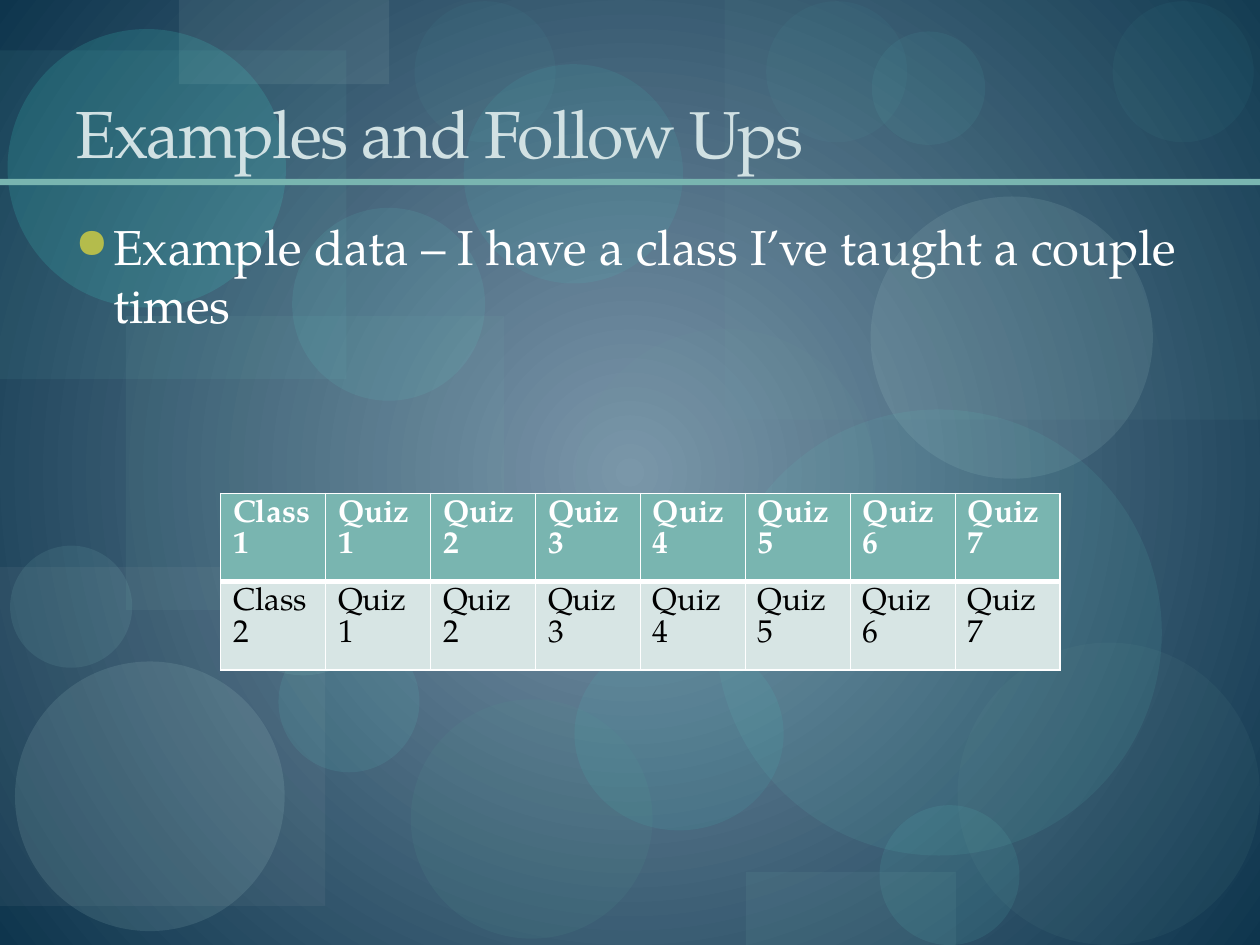
from lxml import etree
from pptx import Presentation
from pptx.dml.color import RGBColor
from pptx.enum.shapes import MSO_SHAPE
from pptx.enum.text import MSO_ANCHOR
from pptx.oxml.ns import qn
from pptx.util import Pt

RECT, OVAL = MSO_SHAPE.RECTANGLE, MSO_SHAPE.OVAL
BOTTOM, TOP = MSO_ANCHOR.BOTTOM, MSO_ANCHOR.TOP
FONT = "TeX Gyre Pagella"
COLORS = {
    "center": "7B96AA", "edge": "0E354D", "teal": "79B5B0", "title": "D1E1E3",
    "white": "FFFFFF", "black": "000000", "bullet": "B4BC4C", "row": "D7E5E4",
    "deep": "549791", "gray": "B2B7BA", "sage": "70A39E", "aqua": "65E8DC",
    "pale": "C1E8E4", "bright": "44EADC", "mint": "77D6CE", "mist": "BED7D4",
    "foam": "97DCD6", "sea": "61CDC4",
}
DECOR = [
    (RECT, 72, 180.7, 216, 167.8, "teal", 9),
    (OVAL, 234.7, 399.6, 138.2, 136.8, "deep", 13),
    (RECT, 414, 0, 306, 239.8, "teal", 6),
    (RECT, 0, 324, 185.8, 193.7, "gray", 8),
    (OVAL, 329, 187.9, 171.4, 171.4, "sage", 8),
    (OVAL, 502.6, 460.1, 79.9, 79.9, "aqua", 9),
    (OVAL, 497.5, 112.3, 161.3, 161.3, "pale", 11),
    (OVAL, 8.6, 378, 154.1, 154.1, "pale", 12),
    (OVAL, 159.1, 360.7, 80.6, 80.6, "aqua", 9),
    (OVAL, 328.3, 364.3, 119.5, 110.2, "bright", 8),
    (RECT, 0, 28.8, 198, 187.9, "mint", 7),
    (RECT, 102.2, 0, 120.2, 48.2, "mist", 10),
    (OVAL, 4.3, 16.6, 159.1, 159.1, "bright", 15),
    (OVAL, 5.8, 311.8, 69.8, 69.8, "foam", 10),
    (OVAL, 167, 118.8, 110.2, 110.2, "aqua", 9),
    (OVAL, 265, 36.7, 125.3, 125.3, "bright", 8),
    (OVAL, 409, 234, 254.9, 254.9, "sea", 10),
    (OVAL, 437.8, 0.7, 80.6, 80.6, "aqua", 4),
    (OVAL, 547.2, 367.2, 172.8, 172.8, "sage", 8),
    (OVAL, 126, 291.6, 94.3, 94.3, "foam", 10),
    (OVAL, 498.2, 18, 64.8, 64.8, "aqua", 6),
    (OVAL, 635.8, 0.7, 80.6, 80.6, "aqua", 4),
    (RECT, 426.2, 498.2, 120.2, 41.8, "teal", 10),
    (OVAL, 236.9, 0.7, 80.6, 80.6, "aqua", 4),
    (RECT, 0, 102.2, 720, 3.6, "teal", 100),
]
QUIZZES = ["Quiz 2", "Quiz 3", "Quiz 4", "Quiz 5", "Quiz6", "Quiz 7"]
ROWS = [["Class 1", "Quiz1"] + QUIZZES, ["Class 2", "Quiz 1"] + QUIZZES]


def rgb(name):
    return RGBColor.from_string(COLORS[name])


def sub(parent, tag, **attrs):
    return etree.SubElement(parent, qn(tag), attrs)


def set_background(s):
    fill = s.background.fill
    fill.gradient()
    for stop, name, position in zip(fill.gradient_stops, ("center", "edge"), (0, 1)):
        stop.color.rgb = rgb(name)
        stop.position = position
    grad = next(s.element.iter(qn("a:gradFill")))
    grad.remove(grad.find(qn("a:lin")))
    circle = sub(grad, "a:path")
    circle.set("path", "circle")
    sub(circle, "a:fillToRect", l="50000", t="50000", r="50000", b="50000")


def add_decor(s, kind, x, y, w, h, color, opacity):
    sp = s.shapes.add_shape(kind, Pt(x), Pt(y), Pt(w), Pt(h))
    sp.shadow.inherit = False
    sp.line.fill.background()
    sp.fill.solid()
    sp.fill.fore_color.rgb = rgb(color)
    if opacity < 100:
        clr = next(sp.element.spPr.iter(qn("a:srgbClr")))
        sub(clr, "a:alpha", val=str(opacity * 1000))


def set_font(p, size, color, bold=False):
    p.font.name = FONT
    p.font.size = Pt(size)
    p.font.bold = bold
    p.font.color.rgb = rgb(color)


def add_text(s, text, x, y, w, h, size, color, anchor):
    tf = s.shapes.add_textbox(Pt(x), Pt(y), Pt(w), Pt(h)).text_frame
    tf.word_wrap = True
    tf.vertical_anchor = anchor
    p = tf.paragraphs[0]
    p.text = text
    set_font(p, size, color)
    return p


def set_spacing(p, points):
    for r in p.runs:
        r.font._element.set("spc", str(points * 100))


def add_bullet(p, indent):
    pPr = p._p.get_or_add_pPr()
    pPr.set("marL", str(Pt(indent)))
    pPr.set("indent", str(-Pt(indent)))
    color = etree.Element(qn("a:buClr"))
    sub(color, "a:srgbClr", val=COLORS["bullet"])
    size = etree.Element(qn("a:buSzPct"), val="85000")
    char = etree.Element(qn("a:buChar"), char="\u25cf")
    font = pPr.find(qn("a:defRPr"))
    for item in (color, size, char):
        font.addprevious(item)


def set_borders(cell, widths):
    tcPr = cell._tc.get_or_add_tcPr()
    for i, (side, width) in enumerate(widths.items()):
        line = etree.Element(qn("a:ln" + side), w=str(Pt(width)))
        sub(sub(line, "a:solidFill"), "a:srgbClr", val=COLORS["white"])
        tcPr.insert(i, line)


def add_quiz_table(s):
    col_w, row_h = 60, 29.5
    count = len(ROWS[0])
    table = s.shapes.add_table(len(ROWS), count, Pt(126), Pt(282),
                               Pt(col_w * count), Pt(row_h * len(ROWS))).table
    for col in table.columns:
        col.width = Pt(col_w)
    styles = [("teal", "white", True, 1, 3), ("row", "black", False, 3, 1)]
    for i, (texts, style) in enumerate(zip(ROWS, styles)):
        fill, color, bold, top, bottom = style
        table.rows[i].height = Pt(row_h)
        for j, text in enumerate(texts):
            cell = table.cell(i, j)
            cell.fill.solid()
            cell.fill.fore_color.rgb = rgb(fill)
            p = cell.text_frame.paragraphs[0]
            p.text = text
            set_font(p, 18, color, bold)
            set_borders(cell, {"L": 1, "R": 1, "T": top, "B": bottom})


def main():
    prs = Presentation()
    prs.slide_width, prs.slide_height = Pt(720), Pt(540)
    s = prs.slides.add_slide(prs.slide_layouts[6])
    set_background(s)
    for item in DECOR:
        add_decor(s, *item)
    title = add_text(s, "Examples and Follow Ups", 36, 12, 648, 90, 38, "title", BOTTOM)
    set_spacing(title, -1)
    body = add_text(s, "Example data \u2013 I have a class I\u2019ve taught a couple times",
                    36, 120, 648, 360, 28, "white", TOP)
    body.space_before = Pt(7)
    add_bullet(body, 21.6)
    add_quiz_table(s)
    prs.save("out.pptx")


main()
